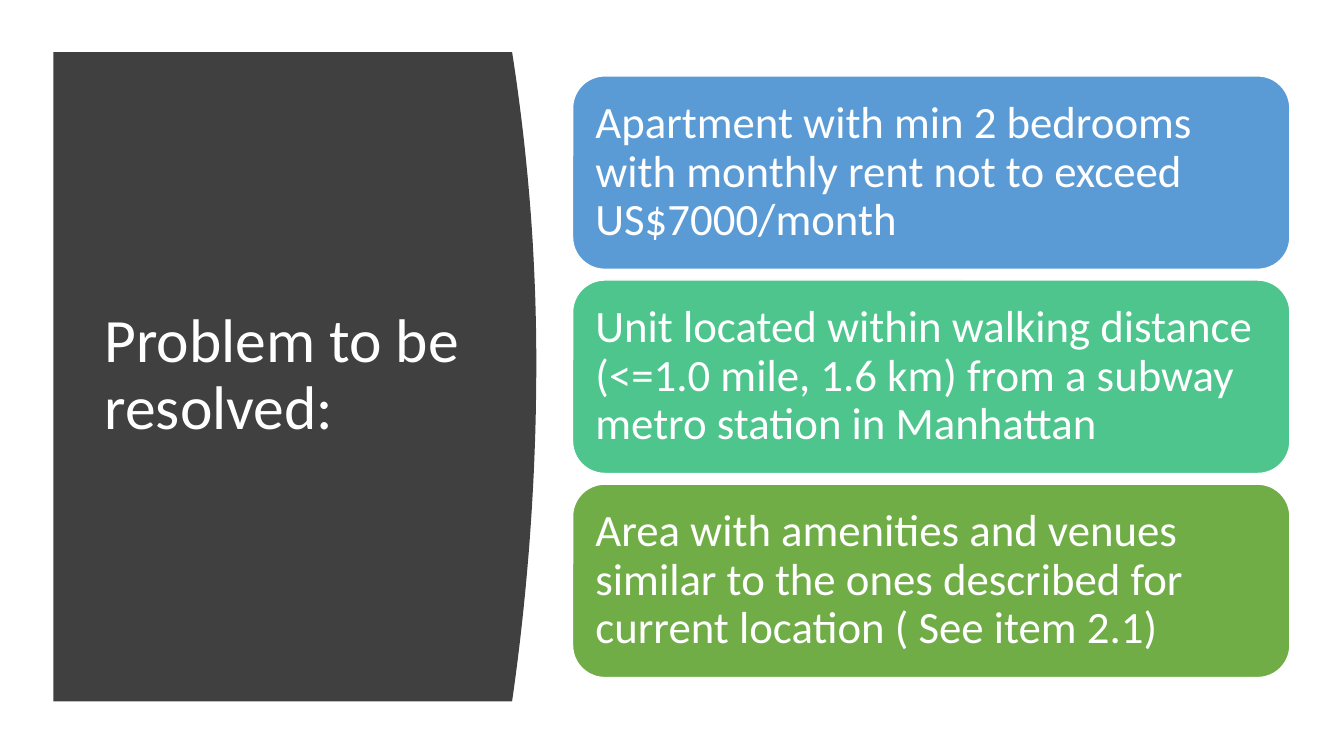
"""Build the slide stating the three apartment requirements."""
from dataclasses import dataclass

from pptx import Presentation
from pptx.dml.color import RGBColor
from pptx.enum.shapes import MSO_SHAPE
from pptx.enum.text import MSO_ANCHOR, PP_ALIGN
from pptx.slide import Slide
from pptx.text.text import TextFrame
from pptx.util import Pt

ROUNDED = MSO_SHAPE.ROUNDED_RECTANGLE
MIDDLE = MSO_ANCHOR.MIDDLE
LEFT = PP_ALIGN.LEFT

WHITE = RGBColor(0xFF, 0xFF, 0xFF)
CHARCOAL = RGBColor(0x40, 0x40, 0x40)
BLUE = RGBColor(0x5B, 0x9B, 0xD5)
TEAL = RGBColor(0x4D, 0xC5, 0x8D)
GREEN = RGBColor(0x70, 0xAD, 0x47)

FONT = "Calibri"
CARD_LEFT, CARD_TOP = 409.0, 54.2
CARD_WIDTH, CARD_HEIGHT, CARD_PITCH = 512.4, 138.2, 145.8
CARD_INSET = 9.6

PANEL_LEFT, PANEL_TOP, PANEL_BOTTOM = 38.2, 37.2, 501.0
PANEL_CORNER, PANEL_BULGE, PANEL_WIDEST_Y = 365.8, 17.3, 259.0
CURVE_STEPS = 48


@dataclass(frozen=True)
class Requirement:
    text: str
    color: RGBColor


REQUIREMENTS = (
    Requirement("Apartment with min 2 bedrooms with monthly rent not to exceed US$7000/month", BLUE),
    Requirement(
        "Unit located within walking distance (<=1.0 mile, 1.6 km) from a subway metro station in Manhattan",
        TEAL,
    ),
    Requirement(
        "Area with amenities and venues similar to the ones described for current location ( See item 2.1)",
        GREEN,
    ),
)


def write_text(frame: TextFrame, text: str, size: float) -> None:
    frame.word_wrap = True
    frame.vertical_anchor = MIDDLE
    paragraph = frame.paragraphs[0]
    paragraph.text = text
    paragraph.alignment = LEFT
    paragraph.line_spacing = 0.9
    paragraph.font.name = FONT
    paragraph.font.size = Pt(size)
    paragraph.font.color.rgb = WHITE


def curve_point(step: int) -> tuple[int, int]:
    y = PANEL_TOP + (PANEL_BOTTOM - PANEL_TOP) * step / CURVE_STEPS
    end = PANEL_TOP if y < PANEL_WIDEST_Y else PANEL_BOTTOM
    distance = (y - PANEL_WIDEST_Y) / (end - PANEL_WIDEST_Y)
    x = PANEL_CORNER + PANEL_BULGE * (1 - distance**2)
    return Pt(x), Pt(y)


def add_panel(slide: Slide) -> None:
    builder = slide.shapes.build_freeform(Pt(PANEL_LEFT), Pt(PANEL_TOP))
    curve = [curve_point(step) for step in range(CURVE_STEPS + 1)]
    builder.add_line_segments([*curve, (Pt(PANEL_LEFT), Pt(PANEL_BOTTOM))], close=True)
    shape = builder.convert_to_shape()
    shape.shadow.inherit = False
    shape.fill.solid()
    shape.fill.fore_color.rgb = CHARCOAL
    shape.line.fill.background()


def add_title(slide: Slide, text: str) -> None:
    box = slide.shapes.add_textbox(Pt(67.7), Pt(79.9), Pt(269.3), Pt(377.3))
    write_text(box.text_frame, text, 44)


def add_card(slide: Slide, requirement: Requirement, top: float) -> None:
    shape = slide.shapes.add_shape(ROUNDED, Pt(CARD_LEFT), Pt(top), Pt(CARD_WIDTH), Pt(CARD_HEIGHT))
    shape.shadow.inherit = False
    shape.fill.solid()
    shape.fill.fore_color.rgb = requirement.color
    shape.line.color.rgb = WHITE
    shape.line.width = Pt(1)
    frame = shape.text_frame
    frame.margin_left = frame.margin_right = Pt(CARD_INSET)
    frame.margin_top = frame.margin_bottom = Pt(CARD_INSET)
    write_text(frame, requirement.text, 32)


def main() -> None:
    presentation = Presentation()
    presentation.slide_width = Pt(960)
    presentation.slide_height = Pt(540)
    slide = presentation.slides.add_slide(presentation.slide_layouts[6])
    add_panel(slide)
    add_title(slide, "Problem to be resolved:")
    for index, requirement in enumerate(REQUIREMENTS):
        add_card(slide, requirement, CARD_TOP + index * CARD_PITCH)
    presentation.save("out.pptx")


if __name__ == "__main__":
    main()
